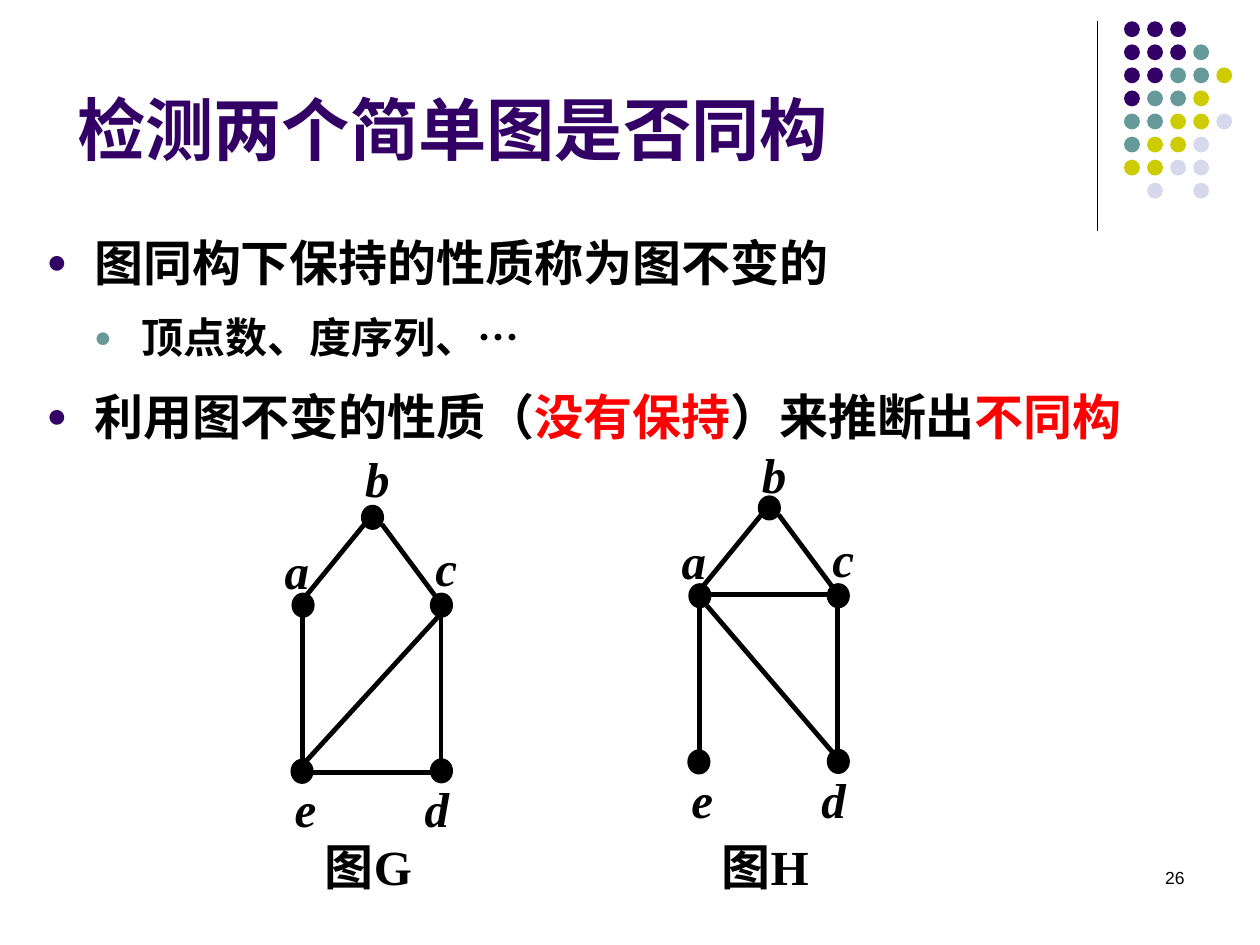
from lxml import etree
from pptx import Presentation
from pptx.dml.color import RGBColor
from pptx.enum.shapes import MSO_CONNECTOR, MSO_SHAPE
from pptx.enum.text import MSO_ANCHOR, MSO_AUTO_SIZE, PP_ALIGN
from pptx.oxml import parse_xml
from pptx.oxml.ns import nsdecls, qn
from pptx.util import Cm, Pt

STRAIGHT = MSO_CONNECTOR.STRAIGHT
OVAL = MSO_SHAPE.OVAL
LEFT, RIGHT, JUSTIFY = PP_ALIGN.LEFT, PP_ALIGN.RIGHT, PP_ALIGN.JUSTIFY

COLOURS = {
    "purple": "330066",
    "teal": "669999",
    "olive": "CCCC00",
    "lilac": "D8D8EC",
    "black": "000000",
    "red": "FF0000",
}
RGB = {name: RGBColor.from_string(value) for name, value in COLOURS.items()}

deck = Presentation()
deck.slide_width, deck.slide_height = Cm(25.4), Cm(19.05)
page = deck.slides.add_slide(deck.slide_layouts[5])


def add_line(shapes, ends, width):
    line = shapes.add_connector(STRAIGHT, *[Cm(value) for value in ends])
    line.line.color.rgb = RGB["black"]
    line.line.width = Pt(width)
    etree.SubElement(line._element.spPr, qn("a:effectLst"))


def add_text(shapes, area, text, size, font, bold=True, italic=False, align=LEFT):
    """Add a text box holding one black paragraph; area is in centimetres."""
    box = shapes.add_textbox(*[Cm(value) for value in area])
    box.text_frame.word_wrap = True
    box.text_frame.text = text
    para = box.text_frame.paragraphs[0]
    para.alignment = align
    style = para.runs[0].font
    style.name, style.size = font, Pt(size)
    style.bold, style.italic = bold, italic
    style.color.rgb = RGB["black"]


# Corner decoration
add_line(page.shapes, (22.12, 0.43, 22.12, 4.65), 0.75)
dot_rows = ["PPP", "PPPT", "PPTTO", "PTTO", "TTOOL", "TOOL", "OOLL", " L L"]
dot_rows[4] = "TTOOL"
dot_colours = {"P": "purple", "T": "teal", "O": "olive", "L": "lilac"}
dots = page.shapes.add_group_shape()
for row, codes in enumerate(dot_rows):
    for column, code in enumerate(codes):
        if code == " ":
            continue
        dot = dots.shapes.add_shape(
            OVAL, Cm(22.66 + 0.465 * column), Cm(0.43 + 0.465 * row), Cm(0.32), Cm(0.32)
        )
        dot.shadow.inherit = False
        dot.fill.solid()
        dot.fill.fore_color.rgb = RGB[dot_colours[code]]
        dot.line.fill.background()

# Title
title = page.shapes.title
title.left, title.top, title.width, title.height = Cm(1.3), Cm(0.91), Cm(20.95), Cm(2.62)
title.text_frame.text = "检测两个简单图是否同构"
title.text_frame.auto_size = MSO_AUTO_SIZE.NONE
title.text_frame.vertical_anchor = MSO_ANCHOR.BOTTOM
title_para = title.text_frame.paragraphs[0]
title_para.alignment = LEFT
title_font = title_para.runs[0].font
title_font.name, title_font.size, title_font.bold = "Arial", Pt(39), True
title_font.color.rgb = RGB["purple"]

# Bullets: level, size, space before, bullet colour, spans
bullets = [
    (0, 28, 0, "purple", [("图同构下保持的性质称为图不变的", "black")]),
    (1, 24, 6, "teal", [("顶点数、度序列、…", "black")]),
    (0, 28, 7, "purple", [
        ("利用图不变的性质（", "black"),
        ("没有保持", "red"),
        ("）来推断出", "black"),
        ("不同构", "red"),
    ]),
]
body = page.shapes.add_textbox(Cm(0.69), Cm(4.32), Cm(24), Cm(5))
body.text_frame.word_wrap = True
for index, (level, size, before, bullet_colour, spans) in enumerate(bullets):
    para = body.text_frame.paragraphs[0] if index == 0 else body.text_frame.add_paragraph()
    para.level = level
    para.alignment = JUSTIFY
    para.line_spacing = 1.2
    para.space_before = Pt(before)
    properties = para._p.get_or_add_pPr()
    properties.set("marL", str(Cm(0.96 * (level + 1))))
    properties.set("indent", str(-Cm(0.96)))
    for xml in (
        f'<a:buClr {nsdecls("a")}><a:srgbClr val="{COLOURS[bullet_colour]}"/></a:buClr>',
        f'<a:buSzPct {nsdecls("a")} val="70000"/>',
        f'<a:buFont {nsdecls("a")} typeface="Arial"/>',
        f'<a:buChar {nsdecls("a")} char="●"/>',
    ):
        properties.append(parse_xml(xml))
    for text, colour in spans:
        span = para.add_run()
        span.text = text
        span.font.name, span.font.size, span.font.bold = "Arial", Pt(size), True
        span.font.color.rgb = RGB[colour]

# Two graphs share vertices and four edges; each adds two edges of its own
vertices = {"a": (6.11, 12.2), "b": (7.51, 10.43), "c": (8.9, 12.2),
            "d": (8.9, 15.54), "e": (6.09, 15.55)}
labels = {"a": (5.49, 10.77), "b": (7.11, 8.92), "c": (8.53, 10.72),
          "d": (8.31, 15.57), "e": (5.69, 15.57)}
shared_edges = [
    (6.17, 12.01, 7.37, 10.54),
    (7.7, 10.57, 8.89, 12.17),
    (8.89, 12.37, 8.89, 15.37),
    (6.1, 12.37, 6.1, 15.37),
]
# Caption, offset right and down, extra drop of label b, own edges
graphs = [
    ("图G", 0, 0, 0, [(8.89, 12.37, 6.1, 15.42), (8.89, 15.57, 6.1, 15.57)]),
    ("图H", 8, -0.19, 0.1, [(6.25, 12.4, 8.84, 15.42), (9.09, 12.17, 6.3, 12.17)]),
]
for caption, right, down, b_drop, own_edges in graphs:
    graph = page.shapes.add_group_shape()
    for x1, y1, x2, y2 in shared_edges + own_edges:
        add_line(graph.shapes, (x1 + right, y1 + down, x2 + right, y2 + down), 2.75)
    for name, (x, y) in vertices.items():
        vertex = graph.shapes.add_shape(
            OVAL, Cm(x + right - 0.22), Cm(y + down - 0.24), Cm(0.44), Cm(0.48)
        )
        vertex.shadow.inherit = False
        vertex.fill.solid()
        vertex.fill.fore_color.rgb = RGB["black"]
        vertex.line.color.rgb = RGB["black"]
        vertex.line.width = Pt(0.75)
        label_x, label_y = labels[name]
        drop = b_drop if name == "b" else 0
        add_text(graph.shapes, (label_x + right, label_y + down + drop, 1, 1.45),
                 name, 28, "Times New Roman", italic=True)
    add_text(page.shapes, (6.3 + right, 16.74, 2.8, 1.45), caption, 28, "Times New Roman")

# Page number
add_text(page.shapes, (18.21, 17.35, 5.92, 1.27), "26", 10, "Arial", bold=False, align=RIGHT)

deck.save("out.pptx")
